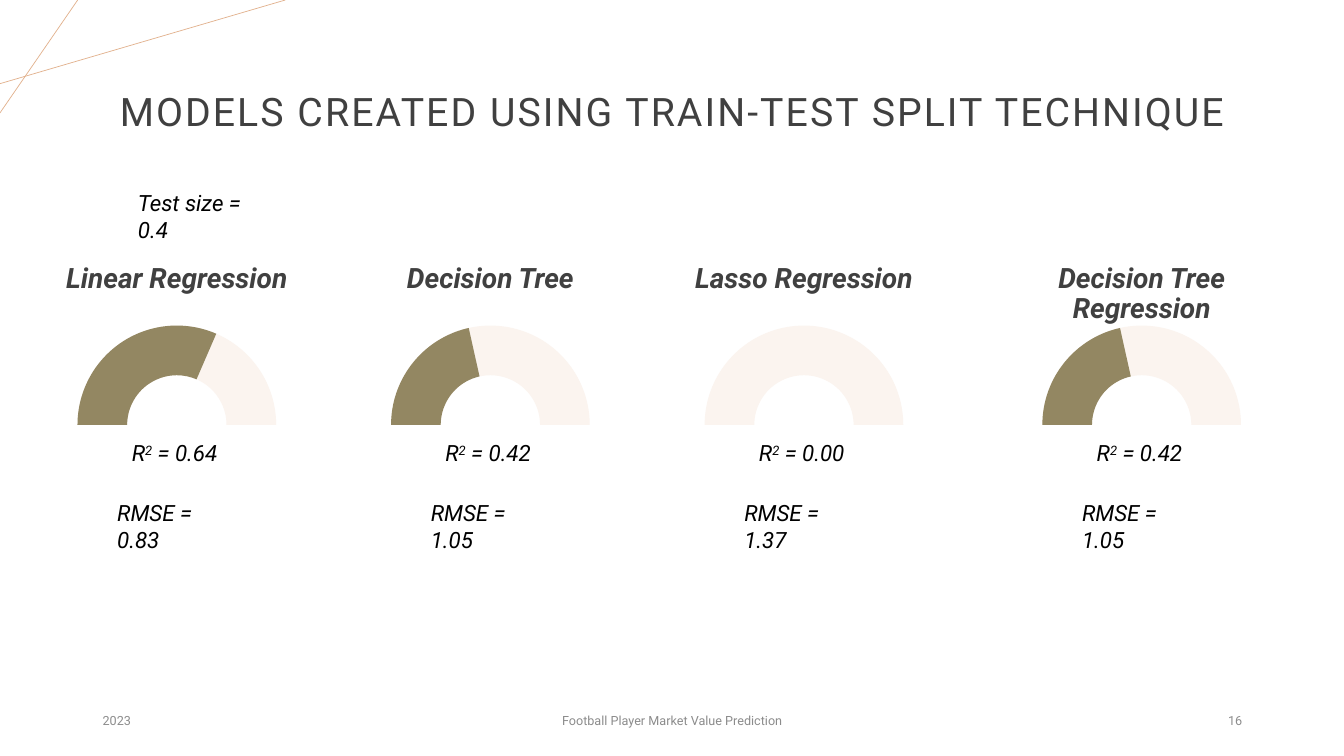
from dataclasses import dataclass
from typing import Optional

from lxml import etree
from pptx import Presentation, util as u
from pptx.dml.color import RGBColor
from pptx.enum import shapes, text
from pptx.oxml.ns import qn

WIDTH, HEIGHT = u.Inches(13.33), u.Inches(7.5)
FIRST_CENTRE, PITCH, LAST_SHIFT = 13.16, 23.33, 1.8
LEFT, CENTRE, RIGHT = text.PP_ALIGN.LEFT, text.PP_ALIGN.CENTER, text.PP_ALIGN.RIGHT
TOP, MIDDLE = text.MSO_ANCHOR.TOP, text.MSO_ANCHOR.MIDDLE


@dataclass(frozen=True)
class Theme:
    font: str = "Roboto"
    ink: str = "000000"
    heading: str = "404040"
    muted: str = "8C8C8C"
    accent: str = "E2B18D"
    track: str = "FBF4EF"
    value: str = "938762"
    title_size: float = 28
    heading_size: float = 20
    body_size: float = 16
    footer_size: float = 9


@dataclass(frozen=True)
class Box:
    x: float
    y: float
    w: float
    h: float

    def emu(self) -> tuple[int, int, int, int]:
        return (across(self.x), down(self.y), across(self.w), down(self.h))


@dataclass(frozen=True)
class Style:
    size: float
    color: str
    bold: bool = False
    italic: bool = False
    align: int = LEFT
    anchor: int = TOP
    spacing: Optional[float] = None


@dataclass(frozen=True)
class Model:
    name: str
    r2: str
    rmse: str
    share: float
    heading_w: float = 20.26


THEME = Theme()
TITLE = Style(THEME.title_size, THEME.heading, align=CENTRE, anchor=MIDDLE, spacing=0.9)
HEADING = Style(THEME.heading_size, THEME.heading, True, True, CENTRE, spacing=0.9)
BODY = Style(THEME.body_size, THEME.ink, italic=True)

MODELS = [
    Model("Linear Regression", "0.64", "0.83", 0.63),
    Model("Decision Tree", "0.42", "1.05", 0.43),
    Model("Lasso Regression", "0.00", "1.37", 0),
    Model("Decision Tree Regression", "0.42", "1.05", 0.43, 24),
]
FOOTERS = [
    ("2023", 6.9, 22.5, LEFT),
    ("Football Player Market Value Prediction", 40.21, 19.58, CENTRE),
    ("16", 70.67, 22.5, RIGHT),
]
CORNER_LINES = [(0, 11.07, 21.23, 0), (5.78, 0, 0, 14.93)]


def across(percent: float) -> int:
    return round(WIDTH * percent / 100)


def down(percent: float) -> int:
    return round(HEIGHT * percent / 100)


def centred(centre: float, y: float, w: float, h: float) -> Box:
    return Box(centre - w / 2, y, w, h)


def apply(target, values: dict) -> None:
    for name, value in values.items():
        setattr(target, name, value)


def write(sp, runs: list[tuple[str, dict]], style: Style) -> None:
    tf = sp.text_frame
    apply(tf, {"word_wrap": True, "auto_size": text.MSO_AUTO_SIZE.NONE,
               "vertical_anchor": style.anchor})
    p = tf.paragraphs[0]
    apply(p, {"alignment": style.align, "line_spacing": style.spacing,
              "space_before": u.Pt(0)})
    for words, extras in runs:
        r = p.add_run()
        r.text = words
        apply(r.font, {"name": THEME.font, "size": u.Pt(style.size),
                       "bold": style.bold, "italic": style.italic})
        r.font.color.rgb = RGBColor.from_string(style.color)
        for name, value in extras.items():
            r.font._element.set(name, value)


def add_text(s, box: Box, runs: list[tuple[str, dict]], style: Style) -> None:
    write(s.shapes.add_textbox(*box.emu()), runs, style)


def add_arc(s, box: Box, color: str, share: float = 1, flip: bool = False) -> None:
    sp = s.shapes.add_shape(shapes.MSO_SHAPE.BLOCK_ARC, *box.emu())
    sp.shadow.inherit = False
    sp.fill.solid()
    sp.fill.fore_color.rgb = RGBColor.from_string(color)
    sp.line.fill.background()
    start = (360 - 180 * share) * 0.6
    for i, value in enumerate((start, 0, 0.25)):
        sp.adjustments[i] = value
    if flip:
        sp._element.spPr.find(qn("a:xfrm")).set("flipH", "1")


def add_line(s, x1: float, y1: float, x2: float, y2: float) -> None:
    line = s.shapes.add_connector(shapes.MSO_CONNECTOR.STRAIGHT,
                                  across(x1), down(y1), across(x2), down(y2))
    line.line.color.rgb = RGBColor.from_string(THEME.accent)
    line.line.width = u.Pt(0.5)
    etree.SubElement(line._element.spPr, qn("a:effectLst"))


def add_model(s, model: Model, centre: float) -> None:
    add_text(s, centred(centre, 34.27, model.heading_w, 5.33), [(model.name, {})], HEADING)
    gauge = centred(centre, 43.07, 14.78, 26.27)
    add_arc(s, gauge, THEME.track)
    if model.share:
        add_arc(s, gauge, THEME.value, model.share, flip=True)
    add_text(s, centred(centre, 57.47, 8.18, 4.93),
             [("R", {}), ("2", {"baseline": "30000"}), (f" = {model.r2}", {})], BODY)
    add_text(s, centred(centre, 65.33, 10.35, 4.93), [(f"RMSE = {model.rmse}", {})], BODY)


def main() -> None:
    prs = Presentation()
    apply(prs, {"slide_width": WIDTH, "slide_height": HEIGHT})
    s = prs.slides.add_slide(prs.slide_layouts[5])
    for ends in CORNER_LINES:
        add_line(s, *ends)
    title = s.shapes.title
    apply(title, dict(zip(("left", "top", "width", "height"),
                          Box(6.9, 5.33, 86.27, 19.33).emu())))
    write(title, [("MODELS CREATED USING TRAIN-TEST SPLIT TECHNIQUE", {"spc": "150"})], TITLE)
    add_text(s, Box(9.53, 24.4, 11.63, 4.93), [("Test size = 0.4", {})], BODY)
    for i, model in enumerate(MODELS):
        shift = LAST_SHIFT if i == len(MODELS) - 1 else 0
        add_model(s, model, FIRST_CENTRE + i * PITCH + shift)
    for words, x, w, align in FOOTERS:
        style = Style(THEME.footer_size, THEME.muted, align=align, anchor=MIDDLE)
        add_text(s, Box(x, 92.67, w, 5.33), [(words, {})], style)
    prs.save("out.pptx")


if __name__ == "__main__":
    main()
